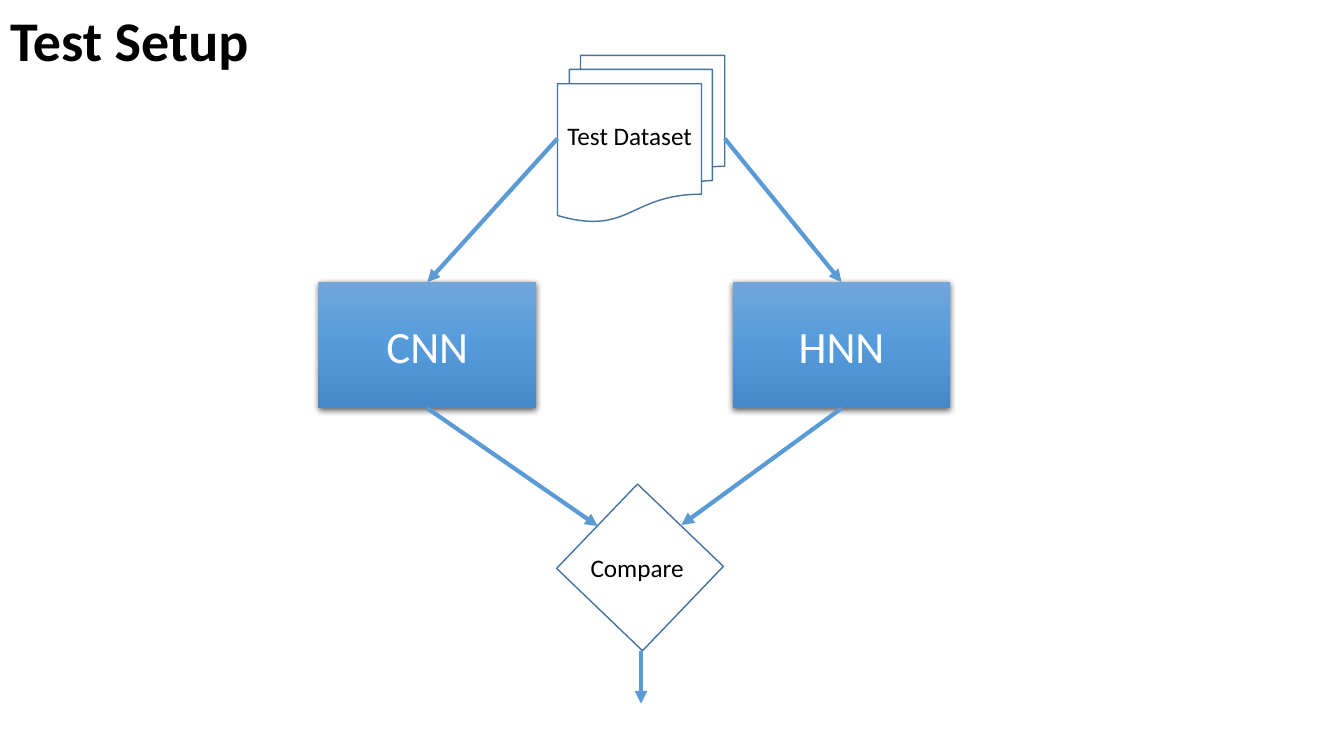
"""Build the test setup slide: one dataset feeds two networks whose results are compared."""
from copy import deepcopy
from typing import NamedTuple, Optional

from lxml import etree
from pptx import Presentation
from pptx.dml import color
from pptx.enum import shapes, text
from pptx.oxml import ns
from pptx.util import Pt

FONT = "Calibri"
COLORS = {
    "ink": "000000",
    "light": "FFFFFF",
    "outline": "43739E",
    "arrow": "5B9BD5",
    "box_top": "71A6DB",
    "box_middle": "559BDB",
    "box_bottom": "448ACA",
}
TOP, LEFT, BOTTOM, RIGHT = range(4)


class Network(NamedTuple):
    name: str
    left: float


class Symbol(NamedTuple):
    preset: shapes.MSO_SHAPE
    box: tuple[float, float, float, float]
    rotation: float = 0


class Label(NamedTuple):
    wording: str
    left: float
    top: float


class Arrow(NamedTuple):
    start: tuple[float, float]
    end: tuple[float, float]
    source: Optional[tuple[str, int]] = None
    target: Optional[tuple[str, int]] = None


NETWORKS = [Network("CNN", 227.5), Network("HNN", 523.4)]
SYMBOLS = {
    "Compare": Symbol(shapes.MSO_SHAPE.RECTANGLE, (415.4, 362.8, 83.5, 85), 313.8),
    "Test Dataset": Symbol(
        shapes.MSO_SHAPE.FLOWCHART_MULTIDOCUMENT, (398.2, 39.6, 119.5, 118.8)
    ),
}
LABELS = [Label("Test Dataset", 398.2, 82.1), Label("Compare", 414.7, 391)]
ARROWS = [
    Arrow((398.2, 99), (305.2, 201.6), ("Test Dataset", LEFT), ("CNN", TOP)),
    Arrow((517.7, 99), (601.2, 201.6), ("Test Dataset", RIGHT), ("HNN", TOP)),
    Arrow((305.2, 291.6), (427, 375.8), ("CNN", BOTTOM)),
    Arrow((601.2, 291.6), (486.7, 375.1), ("HNN", BOTTOM)),
    Arrow((457.9, 465.1), (457.9, 502.6)),
]


def rgb(key: str) -> color.RGBColor:
    """Return the named colour."""
    return color.RGBColor.from_string(COLORS[key])


def write(frame, wording: str, size: float, ink: str, align, bold: bool = False) -> None:
    """Put one formatted paragraph into a text frame."""
    frame.text = wording
    paragraph = frame.paragraphs[0]
    paragraph.alignment = align
    paragraph.font.name = FONT
    paragraph.font.size = Pt(size)
    paragraph.font.bold = bold
    paragraph.font.color.rgb = rgb(ink)


def add_title(slide, wording: str) -> None:
    """Move the title placeholder to the top left corner and fill it."""
    title = slide.shapes.title
    title.left, title.top, title.width, title.height = Pt(0), Pt(0), Pt(693.4), Pt(55.4)
    title.text_frame.auto_size = text.MSO_AUTO_SIZE.NONE
    title.text_frame.vertical_anchor = text.MSO_ANCHOR.TOP
    write(title.text_frame, wording, 40, "ink", text.PP_ALIGN.LEFT, bold=True)


def shade(box) -> None:
    """Give a box its vertical three-stop gradient and soft shadow."""
    box.fill.gradient()
    box.fill.gradient_angle = 270
    stop_list = box.element.spPr.find(".//" + ns.qn("a:gsLst"))
    stop_list.append(deepcopy(stop_list[0]))
    tones = ("box_top", "box_middle", "box_bottom")
    for index, (stop, tone) in enumerate(zip(box.fill.gradient_stops, tones)):
        stop.position = index / 2
        stop.color.rgb = rgb(tone)
    box.line.fill.background()
    box.shadow.inherit = False
    effects = box.element.spPr.find(ns.qn("a:effectLst"))
    shadow = etree.SubElement(
        effects, ns.qn("a:outerShdw"), blurRad=str(Pt(4.5)), dist=str(Pt(1.5)),
        dir="5400000", algn="ctr", rotWithShape="0",
    )
    tint = etree.SubElement(shadow, ns.qn("a:srgbClr"), val=COLORS["ink"])
    etree.SubElement(tint, ns.qn("a:alpha"), val="63000")


def add_network(slide, network: Network):
    """Draw a shaded network box."""
    box = slide.shapes.add_shape(
        shapes.MSO_SHAPE.RECTANGLE, Pt(network.left), Pt(201.6), Pt(155.5), Pt(90)
    )
    shade(box)
    box.text_frame.vertical_anchor = text.MSO_ANCHOR.MIDDLE
    write(box.text_frame, network.name, 32, "light", text.PP_ALIGN.CENTER)
    return box


def add_symbol(slide, symbol: Symbol):
    """Draw an outlined flowchart symbol."""
    outline = slide.shapes.add_shape(symbol.preset, *map(Pt, symbol.box))
    outline.rotation = symbol.rotation
    outline.fill.background()
    outline.line.color.rgb = rgb("outline")
    outline.line.width = Pt(1)
    outline.shadow.inherit = False
    return outline


def add_label(slide, label: Label) -> None:
    """Write a caption over a symbol."""
    caption = slide.shapes.add_textbox(Pt(label.left), Pt(label.top), Pt(154), Pt(29))
    caption.text_frame.word_wrap = True
    write(caption.text_frame, label.wording, 18, "ink", text.PP_ALIGN.LEFT)


def add_arrow(slide, arrow: Arrow, nodes: dict) -> None:
    """Draw an arrow, attached to its nodes where they are named."""
    link = slide.shapes.add_connector(
        shapes.MSO_CONNECTOR.STRAIGHT, *map(Pt, arrow.start + arrow.end)
    )
    if arrow.source:
        link.begin_connect(nodes[arrow.source[0]], arrow.source[1])
    if arrow.target:
        link.end_connect(nodes[arrow.target[0]], arrow.target[1])
    link.line.color.rgb = rgb("arrow")
    link.line.width = Pt(3)
    etree.SubElement(link.line._get_or_add_ln(), ns.qn("a:tailEnd"), type="triangle")
    etree.SubElement(link._element.spPr, ns.qn("a:effectLst"))


def main() -> None:
    """Assemble and save the slide."""
    deck = Presentation()
    deck.slide_width, deck.slide_height = Pt(960), Pt(540)
    slide = deck.slides.add_slide(deck.slide_layouts.get_by_name("Title Only"))
    add_title(slide, "Test Setup")
    nodes = {network.name: add_network(slide, network) for network in NETWORKS}
    nodes |= {name: add_symbol(slide, symbol) for name, symbol in SYMBOLS.items()}
    for label in LABELS:
        add_label(slide, label)
    for arrow in ARROWS:
        add_arrow(slide, arrow, nodes)
    deck.save("out.pptx")


if __name__ == "__main__":
    main()
